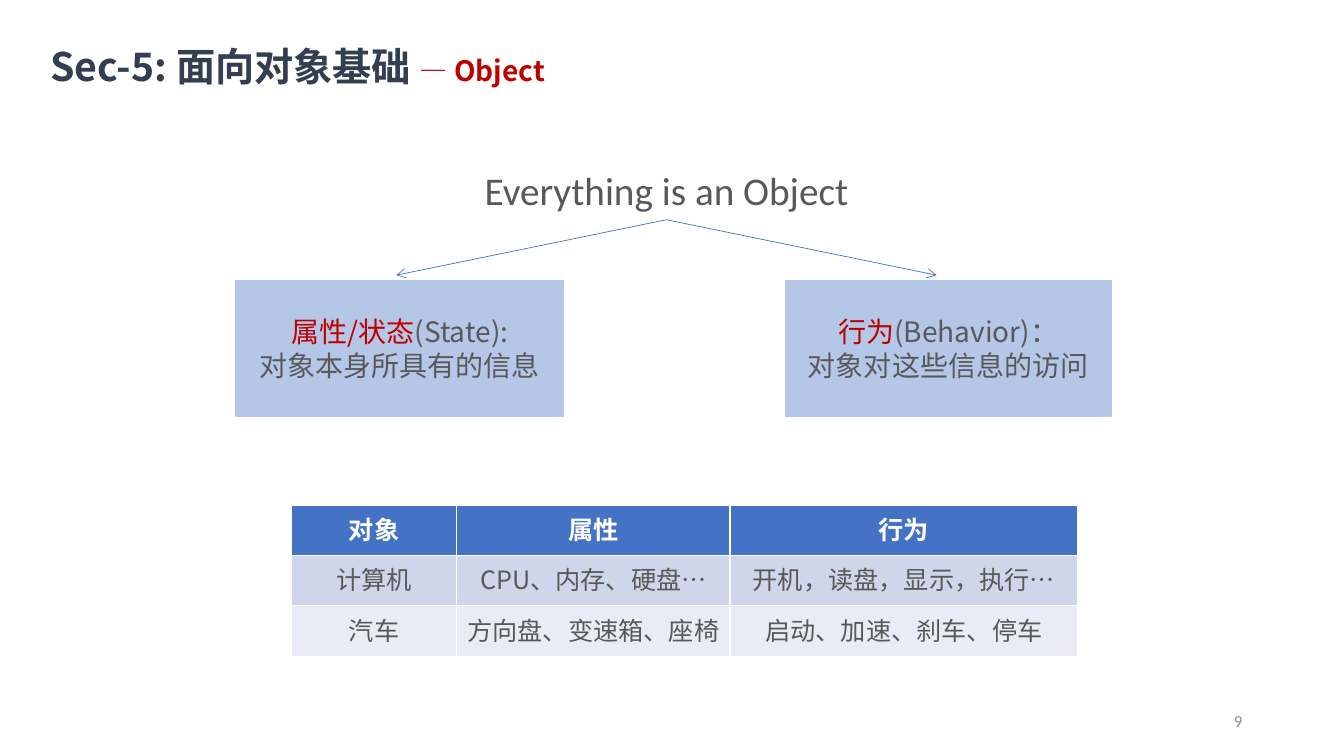
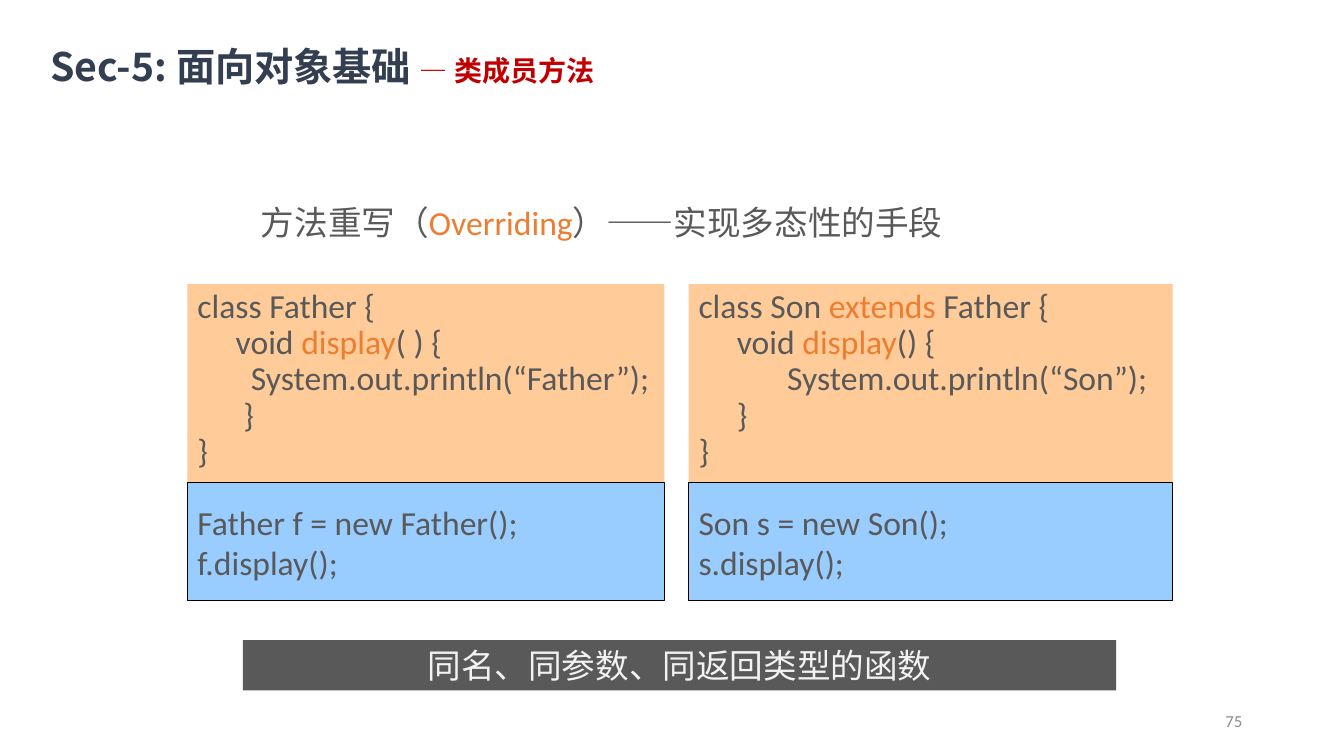
import pptx
import pptx.util
import pptx.dml.color
import pptx.enum.shapes
import pptx.enum.text
import pptx.oxml.ns
import lxml.etree

Inches = pptx.util.Inches
Pt = pptx.util.Pt
RGBColor = pptx.dml.color.RGBColor
ALIGN = pptx.enum.text.PP_ALIGN
ANCHOR = pptx.enum.text.MSO_ANCHOR
qn = pptx.oxml.ns.qn

GREY = RGBColor(0x59, 0x59, 0x59)
PALE = RGBColor(0xF2, 0xF2, 0xF2)
FAINT = RGBColor(0x8C, 0x8C, 0x8C)
NAVY = RGBColor(0x33, 0x3F, 0x50)
RED = RGBColor(0xC0, 0x00, 0x00)
ORANGE = RGBColor(0xED, 0x7D, 0x31)
PEACH = RGBColor(0xFF, 0xCC, 0x99)
SKY = RGBColor(0x99, 0xCC, 0xFF)
MIST = RGBColor(0xB4, 0xC7, 0xE7)
BLUE = RGBColor(0x44, 0x72, 0xC4)
BAND = RGBColor(0xCF, 0xD5, 0xEA)
LIGHT = RGBColor(0xE9, 0xEB, 0xF5)
WHITE = RGBColor(0xFF, 0xFF, 0xFF)
BLACK = RGBColor(0x00, 0x00, 0x00)
LATIN = "Calibri"
HAN = "Noto Sans CJK SC"


def write(frame, lines, size, face=LATIN, align=ALIGN.LEFT, bold=False):
    for row, line in enumerate(lines):
        para = frame.add_paragraph() if row else frame.paragraphs[0]
        para.alignment = align
        for text, color in line:
            run = para.add_run()
            run.text = text
            run.font.size = Pt(size)
            run.font.bold = bold
            run.font.color.rgb = color
            run.font.name = face
            east = lxml.etree.SubElement(run.font._element, qn("a:ea"))
            east.set("typeface", HAN)


def block(slide, at, fill=None, edge=None, width=1, anchor=ANCHOR.TOP):
    spot = [Inches(n) for n in at]
    if fill is None:
        shape = slide.shapes.add_textbox(*spot)
    else:
        rect = pptx.enum.shapes.MSO_SHAPE.RECTANGLE
        shape = slide.shapes.add_shape(rect, *spot)
        shape.shadow.inherit = False
        shape.fill.solid()
        shape.fill.fore_color.rgb = fill
        if edge is None:
            shape.line.fill.background()
        else:
            shape.line.color.rgb = edge
            shape.line.width = Pt(width)
    frame = shape.text_frame
    frame.word_wrap = True
    frame.vertical_anchor = anchor
    return frame


deck = pptx.Presentation()
deck.slide_width = Inches(13.33)
deck.slide_height = Inches(7.5)

pages = []
for topic, number in (("Object", "9"), ("类成员方法", "75")):
    slide = deck.slides.add_slide(deck.slide_layouts[5])
    title = slide.shapes.title
    title.left, title.top = Inches(0.5), Inches(0.42)
    title.width, title.height = Inches(9.4), Inches(0.48)
    frame = title.text_frame
    frame.margin_left = frame.margin_right = 0
    frame.margin_top = frame.margin_bottom = 0
    frame.vertical_anchor = ANCHOR.TOP
    frame.auto_size = pptx.enum.text.MSO_AUTO_SIZE.NONE
    write(frame, [[("Sec-5: 面向对象基础 ", NAVY)]], 28, HAN, bold=True)
    write(frame, [[("— ", RED)]], 20, HAN)
    write(frame, [[(topic, RED)]], 20, HAN, bold=True)
    frame = block(slide, (9.42, 6.95, 3, 0.4), anchor=ANCHOR.MIDDLE)
    write(frame, [[(number, FAINT)]], 12, align=ALIGN.RIGHT)
    pages.append(slide)

first, second = pages

frame = block(first, (4.25, 1.6, 4.72, 0.57))
write(frame, [[("Everything is an Object", GREY)]], 28, align=ALIGN.CENTER)

for end in (3.93, 9.29):
    link = first.shapes.add_connector(
        pptx.enum.shapes.MSO_CONNECTOR.STRAIGHT,
        Inches(6.61), Inches(2.18), Inches(end), Inches(2.73))
    link.line.color.rgb = BLUE
    link.line.width = Pt(0.5)
    head = lxml.etree.SubElement(link.line._get_or_add_ln(), qn("a:tailEnd"))
    head.set("type", "arrow")
    lxml.etree.SubElement(link._element.spPr, qn("a:effectLst"))

sides = (
    (2.34, 3.25, "属性/状态", "(State):", "对象本身所具有的信息"),
    (7.79, 3.23, "行为", "(Behavior)：", "对象对这些信息的访问"),
)
for left, wide, term, gloss, note in sides:
    frame = block(first, (left, 2.78, wide, 1.35), MIST, MIST,
                  anchor=ANCHOR.MIDDLE)
    write(frame, [[(term, RED), (gloss, GREY)], [(note, GREY)]],
          20, HAN, ALIGN.CENTER)

cells = (
    ("对象", "属性", "行为"),
    ("计算机", "CPU、内存、硬盘…", "开机，读盘，显示，执行…"),
    ("汽车", "方向盘、变速箱、座椅", "启动、加速、刹车、停车"),
)
table = first.shapes.add_table(3, 3, Inches(2.89), Inches(5.01),
                               Inches(7.8), Inches(1.5)).table
for col, wide in zip(table.columns, (1.64, 2.71, 3.45)):
    col.width = Inches(wide)
for r, (row, fill) in enumerate(zip(cells, (BLUE, BAND, LIGHT))):
    for c, text in enumerate(row):
        cell = table.cell(r, c)
        cell.fill.solid()
        cell.fill.fore_color.rgb = fill
        write(cell.text_frame, [[(text, GREY if r else WHITE)]],
              18, HAN, ALIGN.CENTER, r == 0)

frame = block(second, (2.49, 1.95, 8.66, 0.5))
write(frame, [[("方法重写（", GREY), ("Overriding", ORANGE),
               ("）——实现多态性的手段", GREY)]], 24)

father = (
    (0, [("class Father {", GREY)]),
    (0.38, [("void ", GREY), ("display", ORANGE), ("( ) {", GREY)]),
    (0.38, [("  System.out.println(“Father”);", GREY)]),
    (0.38, [(" }", GREY)]),
    (0, [("}", GREY)]),
)
son = (
    (0, [("class Son ", GREY), ("extends", ORANGE), (" Father {", GREY)]),
    (0.38, [("void ", GREY), ("display", ORANGE), ("() {", GREY)]),
    (0.88, [("System.out.println(“Son”);", GREY)]),
    (0.38, [("}", GREY)]),
    (0, [("}", GREY)]),
)
panes = (
    (1.86, 4.73, father, ("Father f = new Father();", "f.display();")),
    (6.83, 4.8, son, ("Son s = new Son();", "s.display();")),
)
for left, wide, code, calls in panes:
    frame = block(second, (left, 2.82, wide, 1.97), PEACH)
    write(frame, [line for step, line in code], 24)
    for para, (step, line) in zip(frame.paragraphs, code):
        para.line_spacing = 0.9
        para._p.get_or_add_pPr().set("marL", str(Inches(step)))
    frame = block(second, (left, 4.79, wide, 1.17), SKY, BLACK, 0.75,
                  ANCHOR.MIDDLE)
    write(frame, [[(call, GREY)] for call in calls], 24)

frame = block(second, (2.41, 6.35, 8.66, 0.5), GREY)
write(frame, [[("同名、同参数、同返回类型的函数", PALE)]], 24, align=ALIGN.CENTER)

deck.save("out.pptx")
